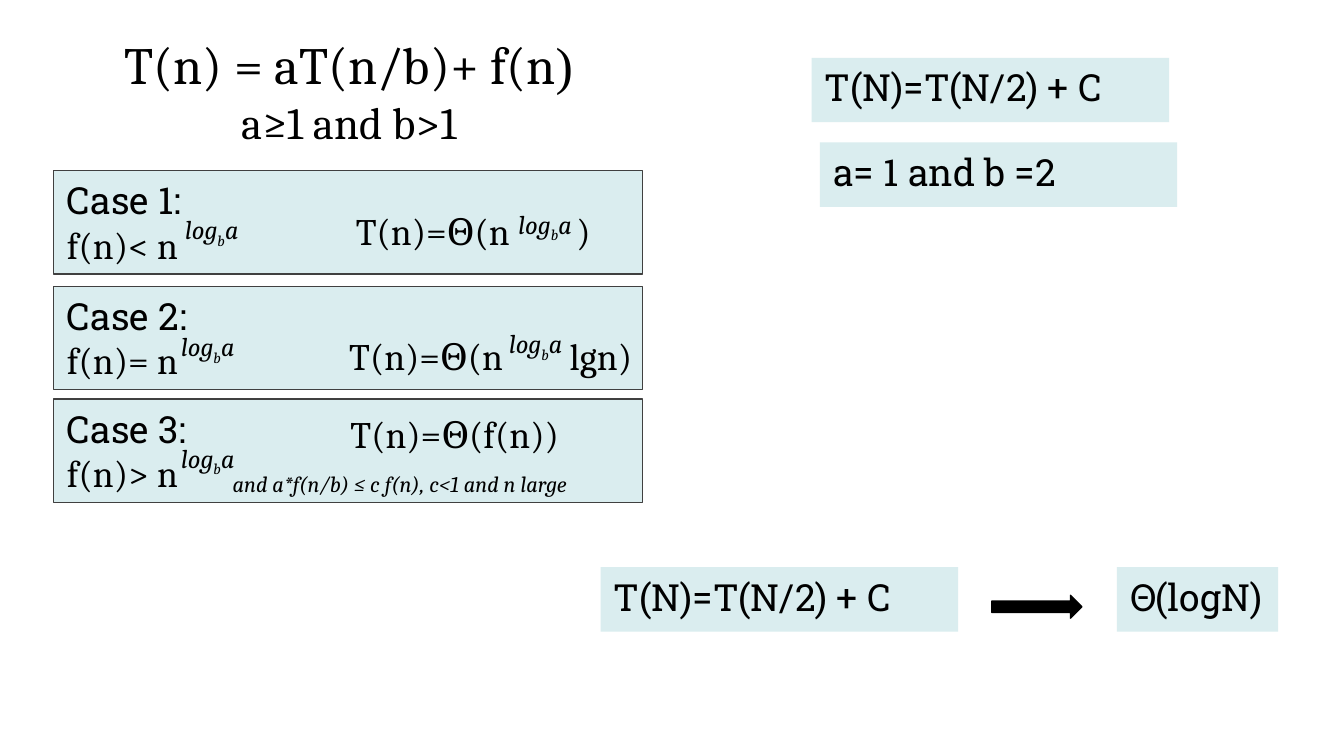
from pptx import Presentation
from pptx.dml.color import RGBColor
from pptx.enum.shapes import MSO_SHAPE
from pptx.enum.text import MSO_ANCHOR, MSO_AUTO_SIZE, PP_ALIGN
from pptx.oxml.ns import qn
from pptx.util import Inches, Pt
from lxml import etree

RECTANGLE = MSO_SHAPE.RECTANGLE
RIGHT_ARROW = MSO_SHAPE.RIGHT_ARROW
TOP = MSO_ANCHOR.TOP
NO_AUTOFIT = MSO_AUTO_SIZE.NONE
LEFT = PP_ALIGN.LEFT
CENTER = PP_ALIGN.CENTER

TITLE_ONLY = 5
MATH_FONT = "Cambria"
LABEL_FONT = "Roboto Slab"
BLACK = "000000"
PALE_TEAL = "DAEDEF"
DARK_GRAY = "404040"


def color(value):
    return RGBColor.from_string(value)


def inches(bounds):
    return [Inches(length) for length in bounds]


def format_font(font, name, size, italic=False):
    font.name = name
    font.size = Pt(size)
    font.italic = italic
    font.color.rgb = color(BLACK)


def prepare_frame(shape):
    frame = shape.text_frame
    frame.word_wrap = True
    frame.auto_size = NO_AUTOFIT
    frame.vertical_anchor = TOP
    return frame


def write_lines(shape, lines, alignment=LEFT):
    """Write (text, font name, size) lines and return the paragraphs."""
    frame = prepare_frame(shape)
    paras = []
    for index, (text, name, size) in enumerate(lines):
        para = frame.add_paragraph() if index else frame.paragraphs[0]
        para.text = text
        para.alignment = alignment
        format_font(para.font, name, size)
        paras.append(para)
    return paras


def add_filled_shape(page, kind, bounds, fill, line=None):
    shape = page.shapes.add_shape(kind, *inches(bounds))
    shape.shadow.inherit = False
    shape.fill.solid()
    shape.fill.fore_color.rgb = color(fill)
    if line:
        shape.line.color.rgb = color(line)
        shape.line.width = Pt(0.75)
    else:
        shape.line.fill.background()
    return shape


def add_title(page):
    title = page.shapes.title
    title.left, title.top, title.width, title.height = inches((0.36, 0.19, 4.47, 1.45))
    lines = [("T(n) = aT(n/b)+ f(n", MATH_FONT, 28), ("a≥1 and b>1", MATH_FONT, 24)]
    recurrence = write_lines(title, lines, CENTER)[0]
    closing = recurrence.add_run()
    closing.text = ")"
    closing.font.name = "Times New Roman"


def add_case(page, number, relation, top):
    box = add_filled_shape(page, RECTANGLE, (0.4, top, 4.38, 0.77), PALE_TEAL, DARK_GRAY)
    write_lines(box, [(f"Case {number}:", LABEL_FONT, 20),
                      (f"f(n){relation} n", MATH_FONT, 20)])


def add_exponent(page, left, top):
    """Add the power log_b a, with b as a subscript."""
    box = page.shapes.add_textbox(*inches((left, top, 1.14, 0.34)))
    para = prepare_frame(box).paragraphs[0]
    for text in ("log", "b", "a"):
        span = para.add_run()
        span.text = text
        if text == "b":
            span._r.get_or_add_rPr().set("baseline", "-25000")
    format_font(para.font, MATH_FONT, 14, italic=True)


def add_bound(page, text, left, top, width, tab=None):
    """Add a bound; the tab stop leaves room for an exponent."""
    box = page.shapes.add_textbox(*inches((left, top, width, 0.44)))
    para = prepare_frame(box).paragraphs[0]
    if tab:
        stops = etree.SubElement(para._p.get_or_add_pPr(), qn("a:tabLst"))
        etree.SubElement(stops, qn("a:tab"), pos=str(Inches(tab)), algn="l")
    para.text = text
    format_font(para.font, MATH_FONT, 20)


def add_condition(page):
    box = page.shapes.add_textbox(*inches((0.63, 3.45, 4.69, 0.3)))
    text = "and a*f(n/b) ≤ c f(n), c<1 and n large"
    para = write_lines(box, [(text, MATH_FONT, 12)], CENTER)[0]
    para.font.italic = True


def add_example(page, text, left, top, width=2.66):
    box = add_filled_shape(page, RECTANGLE, (left, top, width, 0.48), PALE_TEAL)
    write_lines(box, [(text, LABEL_FONT, 20)])


def main():
    deck = Presentation()
    deck.slide_width = Inches(10)
    deck.slide_height = deck.slide_width * 9 // 16
    page = deck.slides.add_slide(deck.slide_layouts[TITLE_ONLY])

    add_title(page)
    cases = [("<", 1.27, (1.28, 1.54)), ("=", 2.13, (1.25, 2.41)), (">", 2.97, (1.25, 3.24))]
    for number, (relation, top, exponent) in enumerate(cases, start=1):
        add_case(page, number, relation, top)
        add_exponent(page, *exponent)

    add_bound(page, "T(n)=Θ(n\t)", 2.55, 1.5, 2.04, tab=1.64)
    add_exponent(page, 3.76, 1.5)
    add_bound(page, "T(n)=Θ(n\tlgn)", 2.5, 2.43, 2.41, tab=1.64)
    add_exponent(page, 3.69, 2.39)
    add_bound(page, "T(n)=Θ(f(n))", 2.51, 3.01, 1.86)
    add_condition(page)

    recurrence = "T(N)=T(N/2) + C"
    add_example(page, recurrence, 4.47, 4.22)
    add_example(page, "Θ(logN)", 8.31, 4.22, width=1.2)
    add_filled_shape(page, RIGHT_ARROW, (7.38, 4.43, 0.67, 0.17), BLACK, BLACK)
    add_example(page, recurrence, 6.04, 0.43)
    add_example(page, "a= 1 and b =2", 6.1, 1.06)

    deck.save("out.pptx")


if __name__ == "__main__":
    main()
